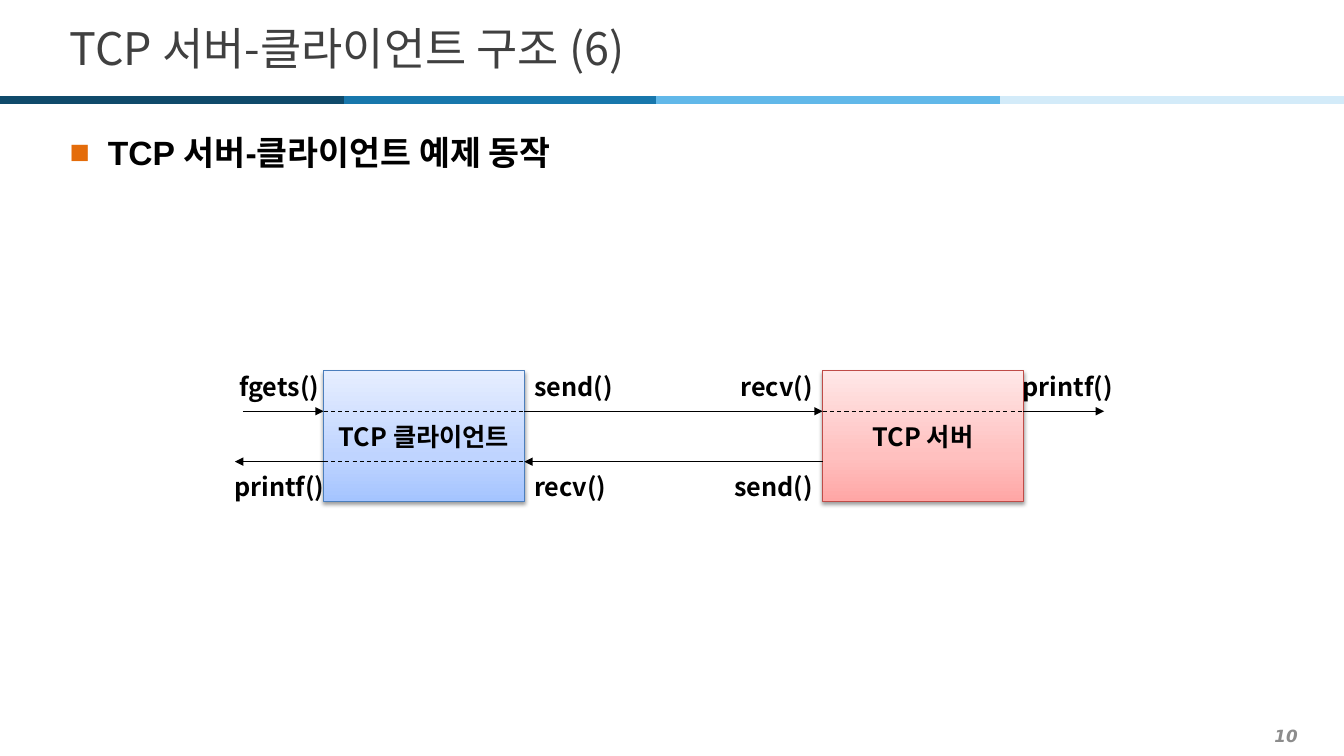
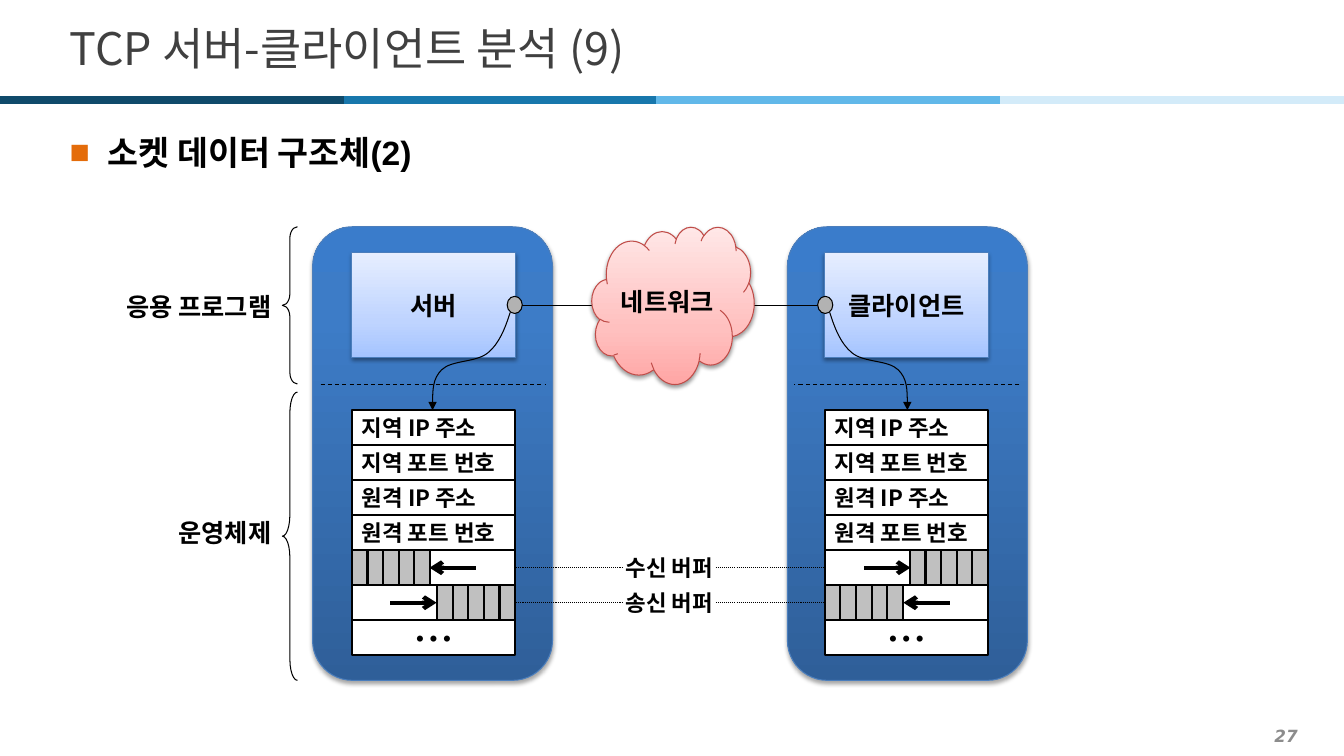
from lxml import etree
from pptx import Presentation
from pptx.dml.color import RGBColor
from pptx.enum.dml import MSO_LINE
from pptx.enum.shapes import MSO_CONNECTOR, MSO_SHAPE
from pptx.enum.text import MSO_ANCHOR, MSO_AUTO_SIZE, PP_ALIGN
from pptx.oxml.ns import qn
from pptx.util import Inches, Pt

LEFT, MID, RIGHT = PP_ALIGN.LEFT, PP_ALIGN.CENTER, PP_ALIGN.RIGHT
RECT, ROUND, OVAL = MSO_SHAPE.RECTANGLE, MSO_SHAPE.ROUNDED_RECTANGLE, MSO_SHAPE.OVAL
CLOUD, BRACE = MSO_SHAPE.CLOUD, MSO_SHAPE.LEFT_BRACE
DASH, DOTS = MSO_LINE.DASH, MSO_LINE.ROUND_DOT
STRAIGHT = MSO_CONNECTOR.STRAIGHT
CENTER, UPPER, FIXED = MSO_ANCHOR.MIDDLE, MSO_ANCHOR.TOP, MSO_AUTO_SIZE.NONE

BLACK = RGBColor(0x00, 0x00, 0x00)
WHITE = RGBColor(0xFF, 0xFF, 0xFF)
INK = RGBColor(0x40, 0x40, 0x40)
GRAY = RGBColor(0x8C, 0x8C, 0x8C)
DOT = RGBColor(0xB2, 0xB2, 0xB2)
CELL = RGBColor(0xC0, 0xC0, 0xC0)
ORANGE = RGBColor(0xE4, 0x6C, 0x0A)
BLUE = RGBColor(0x4B, 0x7E, 0xBC)
RED = RGBColor(0xBF, 0x4C, 0x48)
BANDS = [RGBColor(0x0F, 0x4A, 0x6B), RGBColor(0x18, 0x77, 0xAC),
         RGBColor(0x61, 0xB8, 0xE9), RGBColor(0xD3, 0xEB, 0xF9)]
EDGES = [0, 3.41, 6.51, 9.92, 13.33]

# Gradient stops run from the bottom edge to the top edge.
SKY = [(0, RGBColor(0xA4, 0xC4, 0xFF)), (35, RGBColor(0xBF, 0xD4, 0xFF)),
       (100, RGBColor(0xE6, 0xEE, 0xFF))]
ROSE = [(0, RGBColor(0xFF, 0xA6, 0xA5)), (35, RGBColor(0xFF, 0xC0, 0xBF)),
        (100, RGBColor(0xFF, 0xE7, 0xE7))]
DEEP = [(0, RGBColor(0x2F, 0x5F, 0x99)), (80, RGBColor(0x3D, 0x7C, 0xC7)),
        (100, RGBColor(0x3A, 0x7C, 0xCB))]

SANS = "Noto Sans CJK KR"


def add(parent, tag, **attrs):
    """Append a DrawingML child element and return it."""
    node = etree.SubElement(parent, qn(tag))
    for key, value in attrs.items():
        node.set(key, str(value))
    return node


class Deck:
    """Holds the shared style and the current slide."""

    def __init__(self):
        self.prs = Presentation()
        self.prs.slide_width, self.prs.slide_height = Inches(13.33), Inches(7.5)
        self.slide = None

    def page(self, title, point, number):
        """Start a slide with bands, page number, title and one bullet."""
        self.slide = self.prs.slides.add_slide(self.prs.slide_layouts[1])
        for color, x1, x2 in zip(BANDS, EDGES, EDGES[1:]):
            self.line(x1, 0.99, x2, 0.99, color=color, width=6)
        self.label(number, 0.2, 7.14, 12.77, 0.31, RIGHT, 12,
                   "DejaVu Sans", GRAY, italic=True)
        head, body = self.slide.placeholders
        self.place(head, 0.59, 0.13, 12.21, 0.68)
        self.text(head, title, LEFT, 32, color=INK, bold=False)
        self.place(body, 0.59, 1.18, 12.21, 6.03)
        self.text(body, point, LEFT, 24, "Arial")
        frame = body.text_frame
        frame.vertical_anchor = UPPER
        para = frame.paragraphs[0]
        para.line_spacing, para.space_before, para.space_after = 1.2, Pt(0), Pt(2)
        props = para._p.get_or_add_pPr()
        props.set("marL", str(Inches(0.38)))
        props.set("indent", str(-Inches(0.38)))
        add(add(props, "a:buClr"), "a:srgbClr", val=ORANGE)
        add(props, "a:buFont", typeface="Arial")
        add(props, "a:buChar", char="■")

    def place(self, shape, x, y, w, h):
        shape.left, shape.top = Inches(x), Inches(y)
        shape.width, shape.height = Inches(w), Inches(h)

    def text(self, shape, words, align=MID, size=18, font=SANS,
             color=BLACK, bold=True, italic=False):
        frame = shape.text_frame
        frame.auto_size = FIXED
        frame.vertical_anchor = CENTER
        para = frame.paragraphs[0]
        para.alignment = align
        run = para.add_run()
        run.text = words
        face = run.font
        face.size, face.bold, face.italic = Pt(size), bold, italic
        face.color.rgb, face.name = color, font
        east = SANS if font == "Arial" else font
        add(run._r.get_or_add_rPr(), "a:ea", typeface=east)

    def label(self, words, x, y, w, h, align=MID, size=18, font=SANS,
              color=BLACK, italic=False):
        box = self.slide.shapes.add_textbox(*map(Inches, (x, y, w, h)))
        self.text(box, words, align, size, font, color, italic=italic)
        box.text_frame.word_wrap = False

    def shape(self, kind, x, y, w, h, fill=None, line=BLACK, width=0.75, adj=()):
        item = self.slide.shapes.add_shape(kind, *map(Inches, (x, y, w, h)))
        item.shadow.inherit = False
        if fill is None:
            item.fill.background()
        else:
            item.fill.solid()
            item.fill.fore_color.rgb = fill
        item.line.color.rgb, item.line.width = line, Pt(width)
        for i, value in enumerate(adj):
            item.adjustments[i] = value
        return item

    def block(self, kind, x, y, w, h, stops, line, words="", alpha=38):
        """Draw a gradient shape with a soft shadow and a centred caption."""
        item = self.shape(kind, x, y, w, h, line=line)
        item.fill.gradient()
        item.fill.gradient_angle = 90
        props = item._element.spPr
        ramp = props.find(".//" + qn("a:gsLst"))
        for stop in list(ramp):
            ramp.remove(stop)
        for pos, color in stops:
            add(add(ramp, "a:gs", pos=pos * 1000), "a:srgbClr", val=color)
        shade = add(props.find(qn("a:effectLst")), "a:outerShdw", blurRad=Pt(3.1),
                    dist=Pt(1.6), dir=5400000, algn="ctr", rotWithShape=0)
        add(add(shade, "a:srgbClr", val=BLACK), "a:alpha", val=alpha * 1000)
        if words:
            self.text(item, words)
            item.text_frame.word_wrap = False

    def line(self, x1, y1, x2, y2, tip=None, dash=None, color=BLACK, width=0.75):
        item = self.slide.shapes.add_connector(
            STRAIGHT, *map(Inches, (x1, y1, x2, y2)))
        item.line.color.rgb, item.line.width = color, Pt(width)
        if dash:
            item.line.dash_style = dash
        if tip:
            add(item.line._get_or_add_ln(), "a:tailEnd", type=tip)
        add(item._element.spPr, "a:effectLst")

    def curve(self, points):
        """Draw a Bezier arrow: a start, then three points per segment."""
        spots = [(Inches(x), Inches(y)) for x, y in points]
        pen = self.slide.shapes.build_freeform(*spots[0])
        pen.add_line_segments(spots[1:], close=False)
        item = pen.convert_to_shape()
        item.shadow.inherit = False
        item.fill.background()
        item.line.color.rgb, item.line.width = BLACK, Pt(0.75)
        add(item.line._get_or_add_ln(), "a:tailEnd", type="triangle")
        route = item._element.spPr.find(".//" + qn("a:path"))
        legs = route.findall(qn("a:lnTo"))
        for i in range(0, len(legs), 3):
            bend = add(route, "a:cubicBezTo")
            for leg in legs[i:i + 3]:
                bend.append(leg[0])
                route.remove(leg)


def flow(deck):
    deck.page("TCP 서버-클라이언트 구조 (6)", "TCP 서버-클라이언트 예제 동작", "10")
    wide, client, server = 1.99, 3.21, 8.16
    out, back = 4.08, 4.58
    deck.block(RECT, client, 3.68, wide, 1.3, SKY, BLUE, "TCP 클라이언트")
    deck.block(RECT, server, 3.68, wide, 1.3, ROSE, RED, "TCP 서버")
    for x1, x2, y in [(2.41, client, out), (client + wide, server, out),
                      (server + wide, 10.95, out),
                      (server, client + wide, back), (client, 2.33, back)]:
        deck.line(x1, y, x2, y, "triangle")
    for x, y in [(client, out), (client, back), (server, out)]:
        deck.line(x, y, x + wide, y, dash=DASH)
    for call, x, y, w, align in [
            ("fgets()", 2.41, out - 0.5, 0.72, MID),
            ("send()", 5.2, out - 0.5, 0.96, LEFT),
            ("recv()", 6.88, out - 0.5, 1.28, RIGHT),
            ("printf()", 10.23, out - 0.5, 0.72, MID),
            ("printf()", 2.41, back, 0.72, MID),
            ("recv()", 5.2, back, 0.96, LEFT),
            ("send()", 6.88, back, 1.28, RIGHT)]:
        deck.label(call, x, y, w, 0.5, align)


TOP, ROW = 4.07, 2.43 / 7
COL, WIDE, SLOT = 3.49, 1.62, 0.155
FIELDS = ["지역 IP 주소", "지역 포트 번호", "원격 IP 주소", "원격 포트 번호"]


def host(deck, name, flip):
    """Draw one host; flip mirrors it to the right half of the slide."""
    def at(x, w=0):
        return 13.29 - x - w if flip else x

    def row(i):
        return deck.shape(RECT, at(COL, WIDE), TOP + i * ROW, WIDE, ROW,
                          WHITE, width=1.5)

    deck.block(ROUND, at(3.1, 2.38), 2.25, 2.38, 4.5, DEEP, BLUE, alpha=35)
    deck.block(RECT, at(COL, WIDE), 2.51, WIDE, 1.04, SKY, BLUE, name)
    deck.line(at(3.18), 3.81, at(5.41), 3.81, dash=DASH)
    for i, field in enumerate(FIELDS):
        cell = row(i)
        deck.text(cell, field, LEFT, 16)
        cell.text_frame.word_wrap = False
    for i, start, tail, tip in [(4, COL, 4.72, 4.26),
                                (5, COL + WIDE - 5 * SLOT, 3.87, 4.33)]:
        row(i)
        y = TOP + i * ROW
        for n in range(5):
            deck.shape(RECT, at(start + n * SLOT, SLOT), y, SLOT, ROW,
                       CELL, width=1.5)
        deck.line(at(tail), y + ROW / 2, at(tip), y + ROW / 2, "arrow", width=3)
    deck.text(row(6), "• • •", MID, 16, "Times New Roman")
    deck.shape(OVAL, at(5.03, 0.15), 2.94, 0.15, 0.17, DOT)
    deck.curve([(at(x), y) for x, y in [
        (5.06, 3.1), (5.01, 3.26), (4.95, 3.41), (4.84, 3.5), (4.72, 3.6),
        (4.48, 3.57), (4.38, 3.67), (4.29, 3.76), (4.29, 3.92), (4.29, TOP)]])


def sockets(deck):
    deck.page("TCP 서버-클라이언트 분석 (9)", "소켓 데이터 구조체(2)", "27")
    host(deck, "서버", False)
    host(deck, "클라이언트", True)
    deck.line(5.18, 3.03, 8.11, 3.03)
    deck.block(CLOUD, 5.87, 2.25, 1.61, 1.56, ROSE, RED, "네트워크")
    for layer, x, y, brace, high, bend in [
            ("응용 프로그램", 1.33, 2.86, 2.25, 1.56, 0.75),
            ("운영체제", 1.95, 5.11, 3.89, 2.86, 1.38)]:
        deck.label(layer, x, y, 2.79 - x, 0.35, RIGHT)
        deck.shape(BRACE, 2.8, brace, 0.15, high, adj=(bend, 0.5))
    for i, name in enumerate(["수신 버퍼", "송신 버퍼"], 4):
        y = TOP + i * ROW
        deck.label(name, 5.87, y, 1.54, ROW, MID, 16)
        for x in (5.1, 7.1):
            deck.line(x, y + ROW / 2, x + 1.08, y + ROW / 2, dash=DOTS)


def main():
    deck = Deck()
    flow(deck)
    sockets(deck)
    deck.prs.save("out.pptx")


if __name__ == "__main__":
    main()
